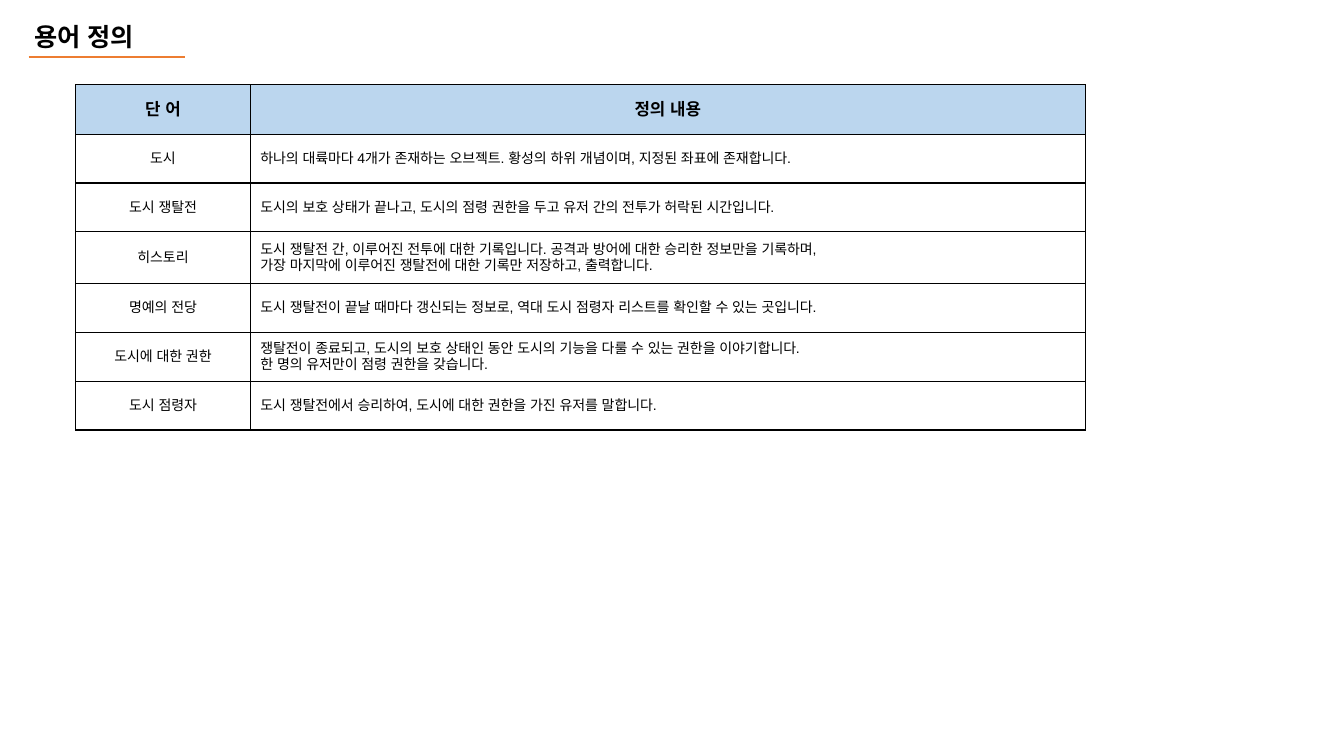
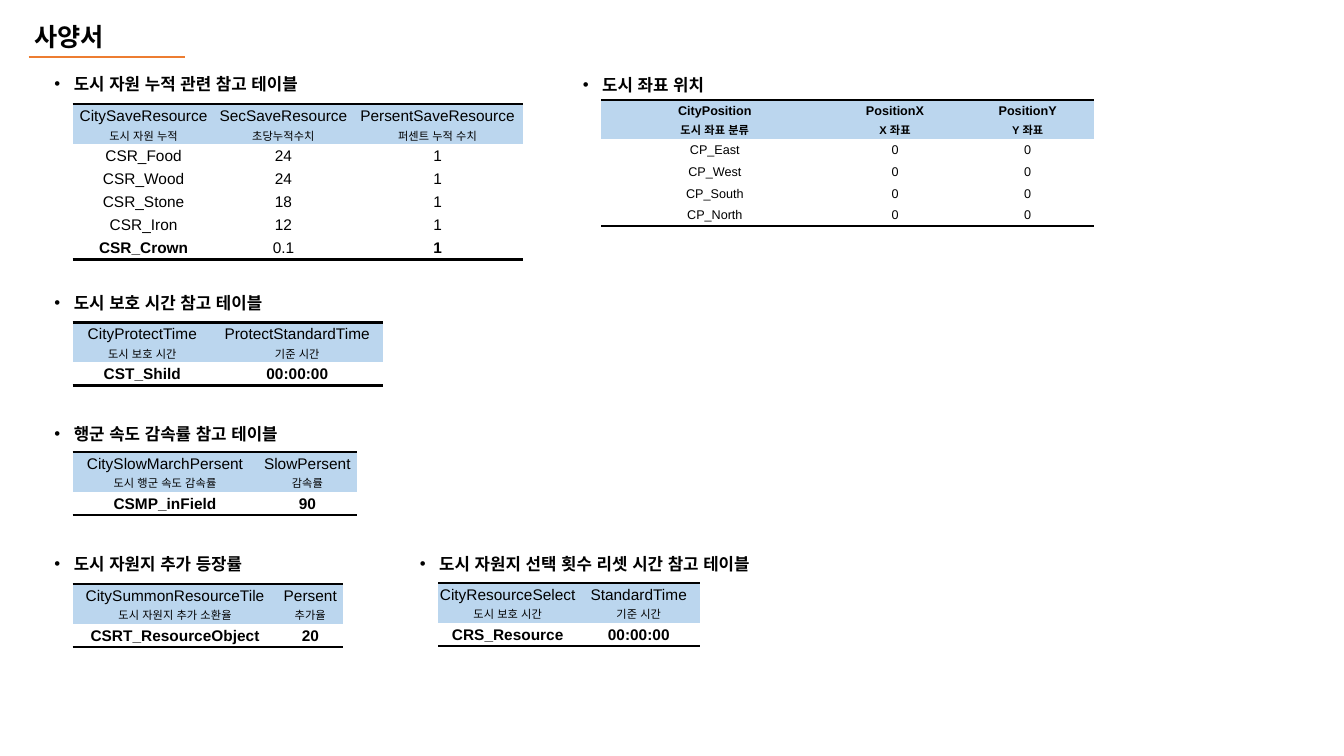
import lxml.etree
import pptx
import pptx.dml.color
import pptx.enum.shapes
import pptx.enum.text
import pptx.oxml
import pptx.oxml.ns
import pptx.util

deck = pptx.Presentation()
deck.slide_width = pptx.util.Inches(13.333)
deck.slide_height = pptx.util.Inches(7.5)
UNIT = deck.slide_width / 160  # the slide is a grid of 160 columns and 90 rows
HUES = {"ink": "000000", "head": "BBD6EE", "cell": "FFFFFF", "rule": "ED7D31"}
FONT = "Arial"
PLAIN = "{2D5ABB26-0587-4C30-8999-92F81FD0307C}"  # table style without grid or fill
ALIGN = pptx.enum.text.PP_ALIGN
ANCHOR = pptx.enum.text.MSO_ANCHOR
RGB = pptx.dml.color.RGBColor.from_string
qn = pptx.oxml.ns.qn


def style(frame, size, bold, align=ALIGN.LEFT):
    form = {"name": FONT, "size": pptx.util.Pt(size), "bold": bold}
    for para in frame.paragraphs:
        para.alignment = align
        for run in para.runs:
            for key, value in form.items():
                setattr(run.font, key, value)
            run.font.color.rgb = RGB(HUES["ink"])
            east = lxml.etree.SubElement(run.font._element, qn("a:ea"))
            east.set("typeface", FONT)


def grid(slide, x, y, cols, rows, data, look):
    """Draw a table; look holds sizes, bold rows, head rows, pad, edges and left columns."""
    box = [round(n * UNIT) for n in (x, y, sum(cols), sum(rows))]
    table = slide.shapes.add_table(len(rows), len(cols), *box).table
    table.first_row = table.horz_banding = False
    table._tbl.tblPr.find(qn("a:tableStyleId")).text = PLAIN
    for parts, sizes, key in ((table.columns, cols, "width"), (table.rows, rows, "height")):
        for part, size in zip(parts, sizes):
            setattr(part, key, round(size * UNIT))
    for r, line in enumerate(data):
        for c, words in enumerate(line):
            cell = table.cell(r, c)
            cell.text = words
            cell.vertical_anchor = ANCHOR.MIDDLE
            for side, pad in zip(("left", "top", "right", "bottom"), look["pad"]):
                setattr(cell, "margin_" + side, pptx.util.Inches(pad))
            align = ALIGN.LEFT if r and c in look["left"] else ALIGN.CENTER
            style(cell.text_frame, look["sizes"][min(r, 2)], r in look["bold"], align)
            ends = {"T": r == 0, "B": r == len(rows) - 1}
            for side in "LRTB":
                if look["all"] or ends.get(side):
                    edge = lxml.etree.SubElement(cell._tc.get_or_add_tcPr(), qn("a:ln" + side))
                    edge.set("w", str(pptx.util.Pt(look["edge"])))
                    fill = lxml.etree.SubElement(edge, qn("a:solidFill"))
                    lxml.etree.SubElement(fill, qn("a:srgbClr")).set("val", HUES["ink"])
            cell.fill.solid()
            cell.fill.fore_color.rgb = RGB(HUES["head" if r < look["heads"] else "cell"])
    return table


# Title and orange rule on both slides
slides = []
for words in ("용어 정의", "사양서"):
    slide = deck.slides.add_slide(deck.slide_layouts[5])
    slides.append(slide)
    title = slide.shapes.title
    spots = {"left": 2.9, "top": 1.9, "width": 19, "height": 4.8}
    for key, value in spots.items():
        setattr(title, key, round(value * UNIT))
    frame = title.text_frame
    frame.text = words
    frame.word_wrap = True
    frame.auto_size = pptx.enum.text.MSO_AUTO_SIZE.NONE
    frame.vertical_anchor = ANCHOR.TOP
    style(frame, 18, True)
    ends = [round(n * UNIT) for n in (3.4, 6.8, 22, 6.8)]
    rule = slide.shapes.add_connector(pptx.enum.shapes.MSO_CONNECTOR.STRAIGHT, *ends)
    rule.line.color.rgb = RGB(HUES["rule"])
    rule.line.width = pptx.util.Pt(1.5)
    lxml.etree.SubElement(rule._element.spPr, qn("a:effectLst"))

# Slide 1: terms
terms = [
    ("단 어", "정의 내용"),
    ("도시", "하나의 대륙마다 4개가 존재하는 오브젝트. 황성의 하위 개념이며, 지정된 좌표에 존재합니다."),
    ("도시 쟁탈전", "도시의 보호 상태가 끝나고, 도시의 점령 권한을 두고 유저 간의 전투가 허락된 시간입니다."),
    ("히스토리", "도시 쟁탈전 간, 이루어진 전투에 대한 기록입니다. 공격과 방어에 대한 승리한 정보만을 기록하며,\n"
     "가장 마지막에 이루어진 쟁탈전에 대한 기록만 저장하고, 출력합니다."),
    ("명예의 전당", "도시 쟁탈전이 끝날 때마다 갱신되는 정보로, 역대 도시 점령자 리스트를 확인할 수 있는 곳입니다."),
    ("도시에 대한 권한", "쟁탈전이 종료되고, 도시의 보호 상태인 동안 도시의 기능을 다룰 수 있는 권한을 이야기합니다.\n"
     "한 명의 유저만이 점령 권한을 갖습니다."),
    ("도시 점령자", "도시 쟁탈전에서 승리하여, 도시에 대한 권한을 가진 유저를 말합니다."),
]
look = {"sizes": (12, 10, 10), "bold": {0}, "heads": 1, "pad": (0.1, 0.05, 0.1, 0.05),
        "edge": 1, "all": True, "left": {1}}
grid(slides[0], 9, 10.1, (20.8, 99.4), (5.9, 5.8, 5.8, 6.2, 5.8, 5.8, 5.8), terms, look)

# Slide 2: heading, its column and row, row of the table, column widths, cells
blocks = [
    ("도시 자원 누적 관련 참고 테이블", 5.3, 7, 12.4, (16.9, 16.4, 20.3), [
        ("CitySaveResource", "SecSaveResource", "PersentSaveResource"),
        ("도시 자원 누적", "초당누적수치", "퍼센트 누적 수치"),
        ("CSR_Food", "24", "1"),
        ("CSR_Wood", "24", "1"),
        ("CSR_Stone", "18", "1"),
        ("CSR_Iron", "12", "1"),
        ("CSR_Crown", "0.1", "1")]),
    ("도시 보호 시간 참고 테이블", 5.3, 33.1, 38.4, (16.6, 20.3), [
        ("CityProtectTime", "ProtectStandardTime"),
        ("도시 보호 시간", "기준 시간"),
        ("CST_Shild", "00:00:00")]),
    ("행군 속도 감속률 참고 테이블", 5.3, 48.6, 53.8, (22, 11.9), [
        ("CitySlowMarchPersent", "SlowPersent"),
        ("도시 행군 속도 감속률", "감속률"),
        ("CSMP_inField", "90")]),
    ("도시 자원지 추가 등장률", 5.3, 64.1, 69.5, (24.4, 7.8), [
        ("CitySummonResourceTile", "Persent"),
        ("도시 자원지 추가 소환율", "추가율"),
        ("CSRT_ResourceObject", "20")]),
    ("도시 자원지 선택 횟수 리셋 시간 참고 테이블", 48.8, 64.1, 69.4, (16.6, 14.6), [
        ("CityResourceSelect", "StandardTime"),
        ("도시 보호 시간", "기준 시간"),
        ("CRS_Resource", "00:00:00")]),
    ("도시 좌표 위치", 68.2, 7.1, 11.9, (27.1, 15.8, 15.8), [
        ("CityPosition", "PositionX", "PositionY"),
        ("도시 좌표 분류", "X 좌표", "Y 좌표"),
        ("CP_East", "0", "0"),
        ("CP_West", "0", "0"),
        ("CP_South", "0", "0"),
        ("CP_North", "0", "0")]),
]
for words, x, y, top, cols, data in blocks:
    spot = [round(n * UNIT) for n in (x, y, 43, 4.8)]
    frame = slides[1].shapes.add_textbox(*spot).text_frame
    frame.word_wrap = True
    frame.text = words
    para = frame.paragraphs[0]
    para.line_spacing = 1.5
    props = para._p.get_or_add_pPr()
    dent = round(2.3 * UNIT)
    props.set("marL", str(dent))
    props.set("indent", str(-dent))
    tint = lxml.etree.SubElement(props, qn("a:buClr"))
    lxml.etree.SubElement(tint, qn("a:srgbClr")).set("val", HUES["ink"])
    lxml.etree.SubElement(props, qn("a:buFont")).set("typeface", FONT)
    lxml.etree.SubElement(props, qn("a:buChar")).set("char", "•")
    style(frame, 12, True)

    small = data[0][0] == "CityPosition"
    look = {"sizes": (9, 8, 9) if small else (11, 8, 11),
            "bold": {0, 1} if small else {len(data) - 1},
            "heads": 2, "pad": (0.01, 0.01, 0.01, 0), "edge": 2, "all": False, "left": ()}
    high = 2.6 if small else 2.75
    rows = [high, 2] + [high] * (len(data) - 2)
    table = grid(slides[1], x + 3.35, top, cols, rows, data, look)
    if data[-1][0] == "CSR_Crown":
        table.cell(6, 1).text_frame.paragraphs[0].runs[0].font.bold = False

deck.save("out.pptx")
